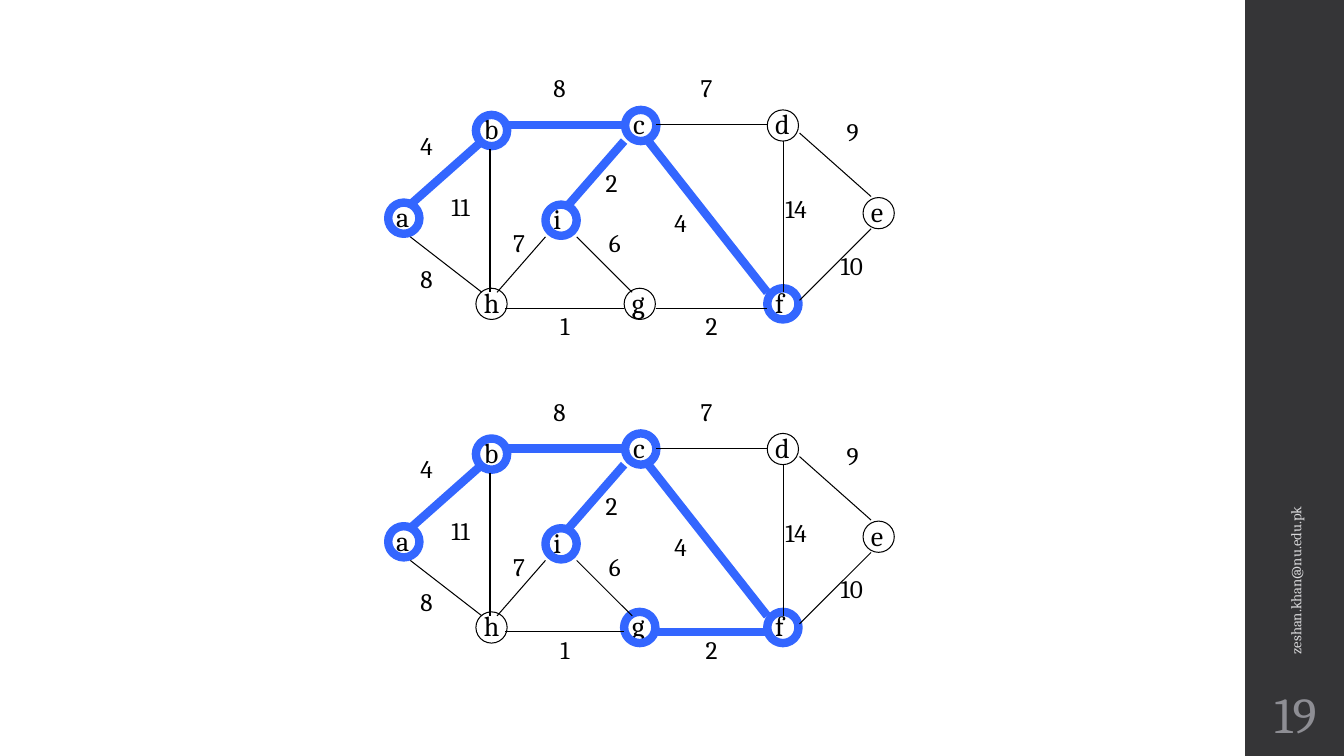
from lxml.etree import SubElement
from pptx import Presentation
from pptx.dml.color import RGBColor
from pptx.enum.shapes import MSO_CONNECTOR, MSO_SHAPE
from pptx.enum.text import MSO_ANCHOR, MSO_AUTO_SIZE, PP_ALIGN
from pptx.oxml.ns import qn
from pptx.util import Inches, Pt

BLUE = RGBColor(0x33, 0x66, 0xFF)
BLACK = RGBColor(0, 0, 0)
SIDEBAR = RGBColor(0x35, 0x35, 0x37)
EMAIL_GRAY = RGBColor(0xD9, 0xD9, 0xDB)
NUMBER_GRAY = RGBColor(0x8E, 0x8E, 0x94)
FONT = "Cambria"

# Vertices: left and top of the circle, width of the letter box
VERTICES = {
    "a": (3.85, 2.01, 0.34),
    "b": (4.72, 1.14, 0.35),
    "h": (4.72, 2.86, 0.35),
    "c": (6.20, 1.09, 0.32),
    "d": (7.61, 1.09, 0.35),
    "e": (8.56, 1.96, 0.34),
    "f": (7.61, 2.86, 0.29),
    "g": (6.19, 2.86, 0.34),
    "i": (5.41, 2.03, 0.32),
}
# Edges: start, end, weight, left and top of the weight
EDGES = {
    "ab": ((4.07, 2.03), (4.78, 1.40), 4, (4.07, 1.24)),
    "ah": ((4.07, 2.35), (4.78, 2.90), 8, (4.07, 2.56)),
    "bh": ((4.86, 1.48), (4.86, 2.90), 11, (4.38, 1.85)),
    "bc": ((5.01, 1.24), (6.19, 1.24), 8, (5.39, 0.67)),
    "hg": ((5.01, 3.06), (6.19, 3.06), 1, (5.46, 3.03)),
    "gf": ((6.51, 3.06), (7.61, 3.06), 2, (6.90, 3.03)),
    "cf": ((6.43, 1.40), (7.61, 2.90), 4, (6.59, 2.01)),
    "cd": ((6.51, 1.24), (7.61, 1.24), 7, (6.85, 0.67)),
    "df": ((7.77, 1.40), (7.77, 2.90), 14, (7.69, 1.87)),
    "de": ((7.93, 1.32), (8.64, 1.95), 9, (8.30, 1.11)),
    "fe": ((7.93, 2.98), (8.64, 2.27), 10, (8.24, 2.43)),
    "ig": ((5.72, 2.35), (6.27, 2.90), 6, (5.94, 2.21)),
    "hi": ((4.93, 2.90), (5.41, 2.35), 7, (4.99, 2.21)),
    "ic": ((5.64, 2.03), (6.19, 1.40), 2, (5.91, 1.61)),
}
# Steps of the spanning tree: vertical shift, chosen edges
STEPS = [
    (0, ["ab", "bc", "ic", "cf"]),
    (3.21, ["ab", "bc", "ic", "cf", "gf"]),
]
CIRCLE = 0.31


def add_text(shapes, text, left, top, width, height, size, color, wrap=False):
    box = shapes.add_textbox(Inches(left), Inches(top), Inches(width), Inches(height))
    frame = box.text_frame
    frame.text = text
    frame.word_wrap = wrap
    frame.auto_size = MSO_AUTO_SIZE.NONE if wrap else MSO_AUTO_SIZE.SHAPE_TO_FIT_TEXT
    font = frame.paragraphs[0].runs[0].font
    font.name, font.size = FONT, Pt(size)
    font.color.rgb = color
    return box


def style_line(line, chosen):
    line.color.rgb = BLUE if chosen else BLACK
    line.width = Pt(6 if chosen else 0.75)


def draw_graph(page, shift, tree):
    shapes = page.shapes.add_group_shape().shapes
    reached = set("".join(tree))

    # Vertices
    for name, (left, top, width) in VERTICES.items():
        add_text(shapes, name, left - 0.02, top - 0.08 + shift, width, 0.44, 20, BLACK)
        circle = shapes.add_shape(MSO_SHAPE.OVAL, Inches(left), Inches(top + shift),
                                  Inches(CIRCLE), Inches(CIRCLE))
        circle.shadow.inherit = False
        circle.fill.background()
        style_line(circle.line, name in reached)

    # Edges
    for name, ((x1, y1), (x2, y2), _, _) in EDGES.items():
        edge = shapes.add_connector(MSO_CONNECTOR.STRAIGHT, Inches(x1), Inches(y1 + shift),
                                    Inches(x2), Inches(y2 + shift))
        style_line(edge.line, name in tree)
        SubElement(edge._element.spPr, qn("a:effectLst"))

    # Weights
    for _, _, weight, (left, top) in EDGES.values():
        width = 0.33 if weight < 10 else 0.46
        add_text(shapes, str(weight), left, top + shift, width, 0.4, 18, BLACK)


deck = Presentation()
deck.slide_width, deck.slide_height = Inches(13.33), Inches(7.5)
page = deck.slides.add_slide(deck.slide_layouts[6])

# Sidebar
sidebar = page.shapes.add_shape(MSO_SHAPE.RECTANGLE, Inches(12.35), 0, Inches(1), Inches(7.5))
sidebar.shadow.inherit = False
sidebar.fill.solid()
sidebar.fill.fore_color.rgb = SIDEBAR
sidebar.line.fill.background()

# Graphs
for shift, tree in STEPS:
    draw_graph(page, shift, tree)

# Email and slide number
email = add_text(page.shapes, "zeshan.khan@nu.edu.pk", 10.89, 4.43, 3.92, 0.4,
                 10.5, EMAIL_GRAY, wrap=True)
email.rotation = 270
number = add_text(page.shapes, "19", 12.35, 6.75, 1, 0.65, 36, NUMBER_GRAY, wrap=True)
number.text_frame.margin_left = number.text_frame.margin_right = Inches(0.05)
number.text_frame.paragraphs[0].alignment = PP_ALIGN.CENTER
for box in (email, number):
    box.text_frame.vertical_anchor = MSO_ANCHOR.MIDDLE

deck.save("out.pptx")
